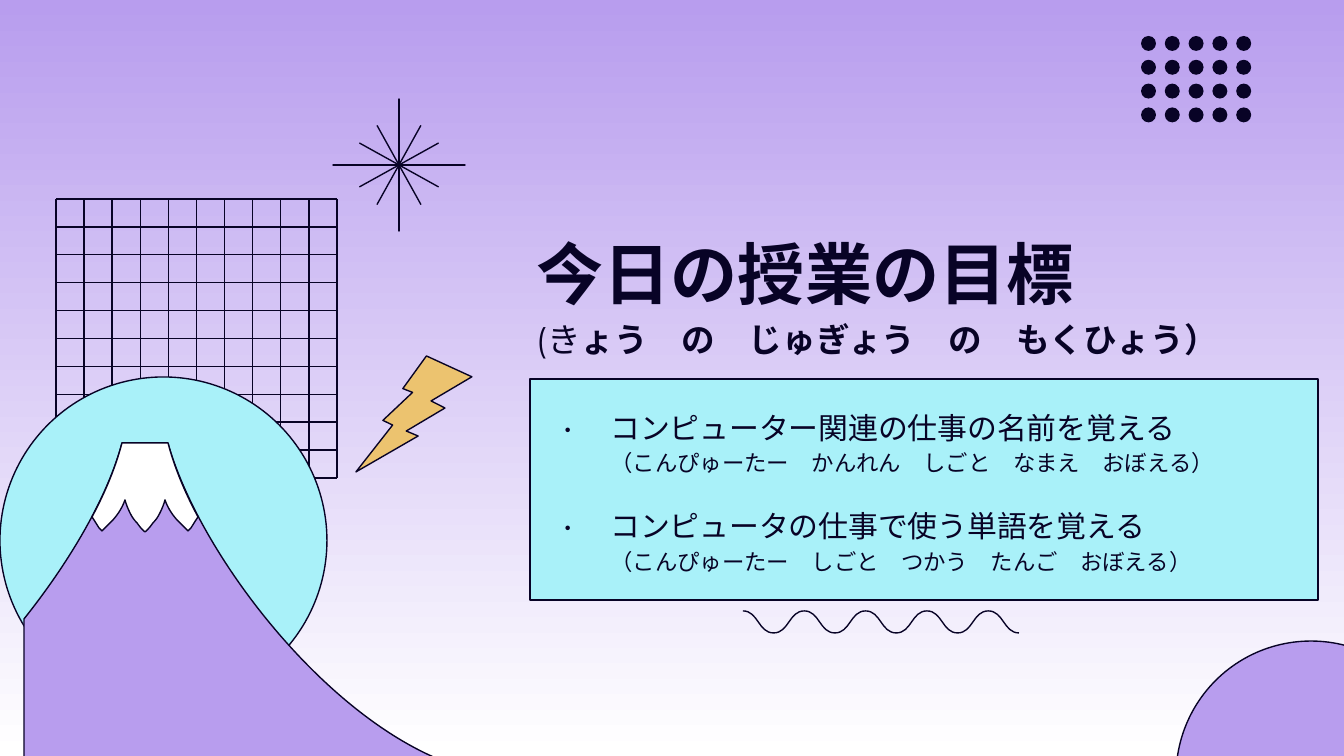
from pptx import Presentation
from pptx.dml.color import RGBColor
from pptx.enum.shapes import MSO_CONNECTOR, MSO_SHAPE
from pptx.enum.text import MSO_ANCHOR, PP_ALIGN
from pptx.oxml.ns import qn
from pptx.util import Inches, Pt
from lxml import etree

WIDTH, HEIGHT = 1344, 756
SCALE = Inches(10) / WIDTH
COLORS = {"ink": "080326", "lilac": "B89DEE", "aqua": "A9F1F9",
          "gold": "ECC36F", "white": "FFFFFF"}
FONT = "Montserrat"
STRAIGHT = MSO_CONNECTOR.STRAIGHT
OVAL, PIE, STAR = MSO_SHAPE.OVAL, MSO_SHAPE.PIE, MSO_SHAPE.STAR_4_POINT
BOLT, RECT = MSO_SHAPE.LIGHTNING_BOLT, MSO_SHAPE.RECTANGLE
MIDDLE, BOTTOM = MSO_ANCHOR.MIDDLE, MSO_ANCHOR.BOTTOM
LEFT = PP_ALIGN.LEFT

TITLE = [[("今日の授業の目標", {"size": Pt(36), "bold": True})],
         [("(き", {"size": Pt(18), "bold": False}),
          ("ょう　の　じゅぎょう　の　もくひょう）", {"size": Pt(18), "bold": True})]]
GOALS = [
    ("コンピューター関連の仕事の名前を覚える",
     "（こんぴゅーたー　かんれん　しごと　なまえ　おぼえる）"),
    ("コンピュータの仕事で使う単語を覚える",
     "（こんぴゅーたー　しごと　つかう　たんご　おぼえる）"),
]


def px(value):
    return round(value * SCALE)


def color(name):
    return RGBColor.from_string(COLORS[name])


def paint(shape, fill=None, line="ink"):
    shape.shadow.inherit = False
    if fill:
        shape.fill.solid()
        shape.fill.fore_color.rgb = color(fill)
    else:
        shape.fill.background()
    if line:
        shape.line.color.rgb = color(line)
        shape.line.width = Pt(0.75)
    else:
        shape.line.fill.background()
    return shape


def add_preset(slide, kind, box, fill=None, line="ink", adjust=(), turn=0):
    shape = slide.shapes.add_shape(kind, *map(px, box))
    for index, value in enumerate(adjust):
        shape.adjustments[index] = value
    shape.rotation = turn
    return paint(shape, fill, line)


def add_line(slide, *ends):
    line = slide.shapes.add_connector(STRAIGHT, *map(px, ends))
    line.line.color.rgb = color("ink")
    line.line.width = Pt(0.75)
    etree.SubElement(line.element.spPr, qn("a:effectLst"))


def add_outline(slide, start, segments, fill=None, close=True):
    """Segments are straight (x, y) or cubic (x1, y1, x2, y2, x, y)."""
    corners = [(px(x), px(y)) for segment in segments
               for x, y in zip(segment[::2], segment[1::2])]
    builder = slide.shapes.build_freeform(*map(px, start))
    builder.add_line_segments(corners, close=close)
    shape = builder.convert_to_shape()
    # Join each three points of a cubic segment into one curve
    steps = iter(list(shape.element.iter(qn("a:lnTo"))))
    for segment in segments:
        curve = next(steps)
        if len(segment) == 6:
            curve.tag = qn("a:cubicBezTo")
            for _ in range(2):
                step = next(steps)
                curve.append(step[0])
                step.getparent().remove(step)
    return paint(shape, fill)


def set_frame(frame, anchor, bottom=0.1):
    values = {"word_wrap": True, "vertical_anchor": anchor,
              "margin_left": Inches(0.1), "margin_right": Inches(0.1),
              "margin_top": Inches(0.1), "margin_bottom": Inches(bottom)}
    for name, value in values.items():
        setattr(frame, name, value)


def fill_paragraph(paragraph, lines):
    paragraph.alignment = LEFT
    paragraph.line_spacing = 1.15
    for number, runs in enumerate(lines):
        if number:
            paragraph.add_line_break()
        for text, style in runs:
            run = paragraph.add_run()
            run.text = text
            for name, value in {"name": FONT, **style}.items():
                setattr(run.font, name, value)
            run.font.color.rgb = color("ink")


def add_bullet(paragraph):
    props = paragraph._p.get_or_add_pPr()
    props.set("marL", str(Inches(0.5)))
    props.set("indent", str(-Inches(0.35)))
    tint = etree.SubElement(props, qn("a:buClr"))
    etree.SubElement(tint, qn("a:srgbClr"), val=COLORS["ink"])
    etree.SubElement(props, qn("a:buSzPts"), val="1600")
    etree.SubElement(props, qn("a:buFont"), typeface=FONT)
    etree.SubElement(props, qn("a:buChar"), char="•")


def add_title(slide):
    frame = slide.shapes.add_textbox(*map(px, (523, 175, 747, 238))).text_frame
    set_frame(frame, BOTTOM, bottom=0.4)
    fill_paragraph(frame.paragraphs[0], TITLE)


def add_goals(slide):
    frame = add_preset(slide, RECT, (530, 379, 788, 221), "aqua").text_frame
    set_frame(frame, MIDDLE)
    for number, (goal, reading) in enumerate(GOALS):
        paragraph = frame.add_paragraph() if number else frame.paragraphs[0]
        if number:
            paragraph.space_before = Pt(14)
        fill_paragraph(paragraph, [[(goal, {"size": Pt(16)})],
                                   [(reading, {"size": Pt(12)})]])
        add_bullet(paragraph)


def add_dots(slide):
    pitch = 23.8
    for row in range(4):
        for column in range(5):
            add_preset(slide, OVAL, (1141 + pitch * column, 36 + pitch * row, 15, 15),
                       "ink", None)


def add_spark(slide):
    add_preset(slide, STAR, (333, 99, 132, 132), adjust=[0])
    for turn in (29, 331):
        add_preset(slide, STAR, (354, 120, 90, 90), adjust=[0], turn=turn)


def add_grid(slide):
    left, top, right, bottom, cells = 56, 199, 337, 478, 10
    for index in range(cells + 1):
        x = right - (right - left) * index / cells
        add_line(slide, x, top, x, bottom)
    for index in range(cells + 1):
        y = top + (bottom - top) * index / cells
        add_line(slide, right, y, left, y)


def add_mountain(slide):
    add_preset(slide, OVAL, (0, 377, 327, 327), "aqua")
    add_outline(slide, (168, 443), [
        (122, 443), (108, 496, 71, 560, 24, 619), (24, 839),
        (24, 842, 27, 845, 31, 845), (431, 845), (435, 845, 438, 842, 438, 839),
        (438, 759), (317, 708, 198, 550, 168, 443)], "lilac")
    # Snow cap: the left half is mirrored about the peak's axis
    axis, peak = 145, (122, 443)
    half = [(116, 466, 106, 491, 92, 517), (94, 520), (99, 528), (102, 531),
            (102, 531, 106, 527, 112, 521), (116, 517, 122, 509, 125, 500),
            (126, 504, 128, 509, 130, 513), (132, 517, 134, 520, 137, 523),
            (141, 529, axis, 532, axis, 532)]
    starts = [peak] + [segment[-2:] for segment in half[:-1]]
    mirrored = []
    for start, segment in zip(reversed(starts), reversed(half)):
        route = [start, *zip(segment[:-2:2], segment[1:-2:2])]
        mirrored.append(tuple(value for x, y in reversed(route)
                              for value in (2 * axis - x, y)))
    add_outline(slide, peak, half + mirrored, "white")


def add_wave(slide):
    left, crest, trough, count = 743, 611, 633, 9
    step = 276 / count
    curves = []
    for index in range(count):
        x = left + step * index
        y1, y2 = (trough, crest) if index % 2 else (crest, trough)
        curves.append((x + step / 2, y1, x + step / 2, y2, x + step, y2))
    add_outline(slide, (left, crest), curves, close=False)


def set_background(slide):
    fill = slide.background.fill
    fill.gradient()
    fill.gradient_angle = 270
    for stop, position, name in zip(fill.gradient_stops, (0, 1), ("lilac", "white")):
        stop.position = position
        stop.color.rgb = color(name)


def main():
    deck = Presentation()
    deck.slide_width, deck.slide_height = px(WIDTH), px(HEIGHT)
    slide = deck.slides.add_slide(deck.slide_layouts[6])
    set_background(slide)

    # Corner decorations
    add_preset(slide, PIE, (1176, 641, 270, 270), "lilac", adjust=[0, 107.807], turn=180)
    add_dots(slide)

    # Lesson goals
    add_title(slide)
    add_goals(slide)

    # Illustration
    add_spark(slide)
    bolt = add_preset(slide, BOLT, (356, 356, 116, 116), "gold")
    bolt.element.spPr.xfrm.set("flipH", "1")
    add_grid(slide)
    add_mountain(slide)
    add_wave(slide)

    deck.save("out.pptx")


if __name__ == "__main__":
    main()
